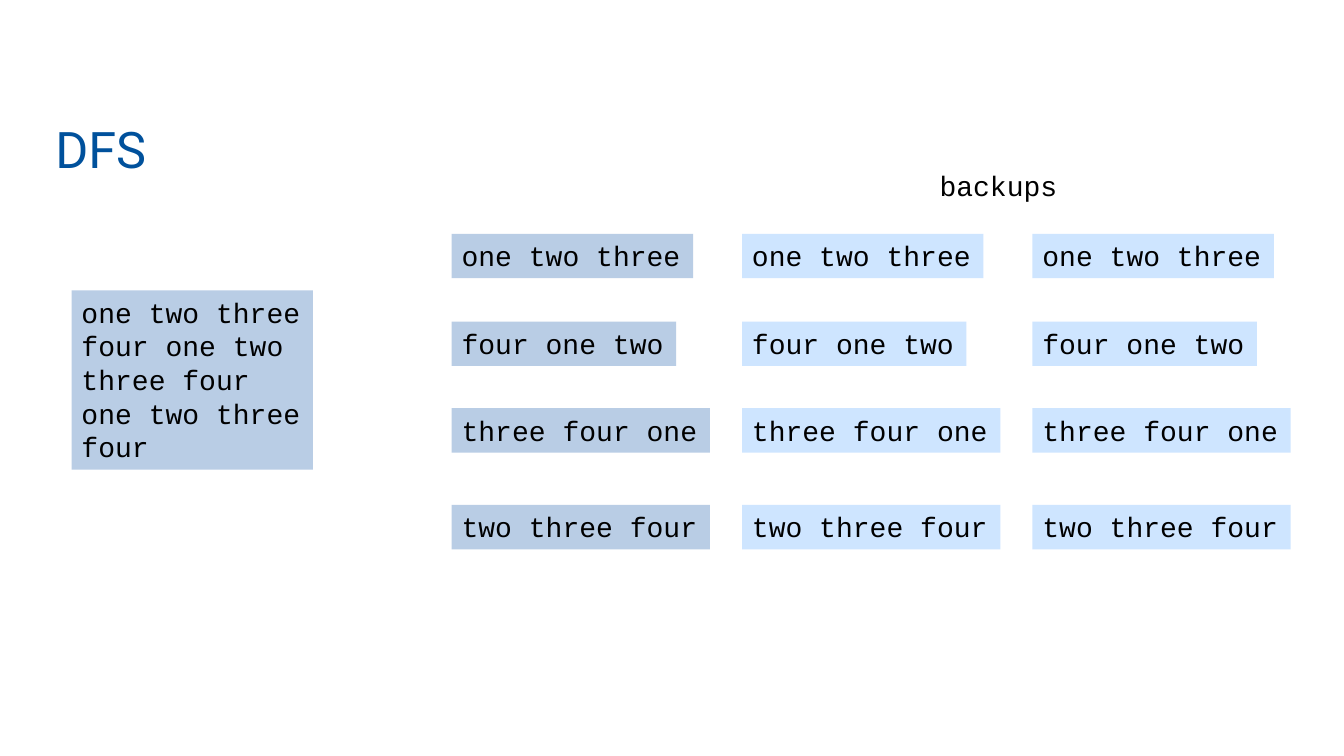
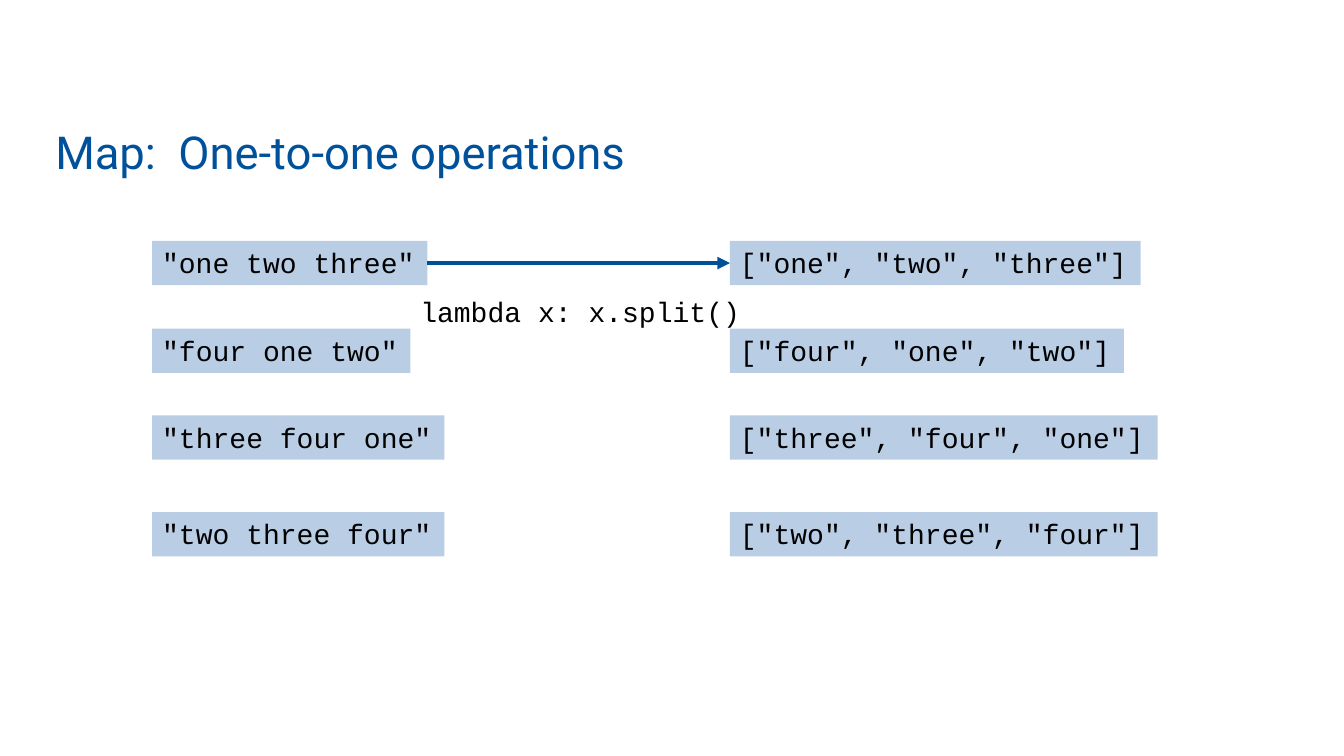
from dataclasses import dataclass

from lxml import etree
from pptx import Presentation
from pptx.dml.color import RGBColor as Rgb
from pptx.enum.shapes import MSO_CONNECTOR as Connector
from pptx.enum.shapes import MSO_SHAPE as Preset
from pptx.enum.text import MSO_ANCHOR as Anchor
from pptx.enum.text import MSO_AUTO_SIZE as AutoSize
from pptx.enum.text import PP_ALIGN as Align
from pptx.oxml.ns import qn
from pptx.util import Inches, Pt


@dataclass(frozen=True)
class Theme:
    title_color: Rgb = Rgb(0x00, 0x51, 0x9C)
    arrow_color: Rgb = Rgb(0x00, 0x4F, 0x99)
    text_color: Rgb = Rgb(0x00, 0x00, 0x00)
    block_fill: Rgb = Rgb(0xB9, 0xCD, 0xE5)
    backup_fill: Rgb = Rgb(0xCE, 0xE5, 0xFF)
    title_font: str = "Roboto"
    code_font: str = "Courier New"
    title_size: float = 36
    small_title_size: float = 32.4
    code_size: float = 20
    arrow_width: float = 3


THEME = Theme()

# Shared layout, in inches
ROW_OFFSETS = (0, 0.87, 1.73, 2.69)
BOX_HEIGHT = 0.44
CHAR_WIDTH = 0.168
BOX_PADDING = 0.21

BLOCKS = ("one two three", "four one two", "three four one", "two three four")


def add_run(para, text, font, size, color):
    span = para.add_run()
    span.text = text
    span.font.name = font
    span.font.size = Pt(size)
    span.font.color.rgb = color


def add_page(deck, title, size=THEME.title_size):
    """Add a blank page with its title."""
    page = deck.slides.add_slide(deck.slide_layouts[6])
    box = page.shapes.add_textbox(Inches(0.45), Inches(1.13), Inches(9.98), Inches(0.69))
    frame = box.text_frame
    frame.word_wrap = True
    frame.vertical_anchor = Anchor.BOTTOM
    add_run(frame.paragraphs[0], title, THEME.title_font, size, THEME.title_color)
    return page


def add_code(page, lines, left, top, fill=None, height=BOX_HEIGHT, wrap=False):
    """Add monospaced text, as wide as its first line; filled if a colour is given."""
    width = CHAR_WIDTH * len(lines[0]) + BOX_PADDING
    area = Inches(left), Inches(top), Inches(width), Inches(height)
    if fill is None:
        box = page.shapes.add_textbox(*area)
    else:
        box = page.shapes.add_shape(Preset.RECTANGLE, *area)
        box.shadow.inherit = False
        box.fill.solid()
        box.fill.fore_color.rgb = fill
        box.line.fill.background()
    frame = box.text_frame
    frame.word_wrap = wrap
    frame.auto_size = AutoSize.SHAPE_TO_FIT_TEXT
    frame.vertical_anchor = Anchor.TOP
    for index, line in enumerate(lines):
        para = frame.add_paragraph() if index else frame.paragraphs[0]
        para.alignment = Align.LEFT
        add_run(para, line, THEME.code_font, THEME.code_size, THEME.text_color)
    return box


def add_column(page, texts, left, top, fill):
    """Stack one box per text on the shared rows."""
    return [add_code(page, [text], left, top + offset, fill)
            for text, offset in zip(texts, ROW_OFFSETS)]


def add_arrow(page, source, target):
    """Join the right side of one box to the left side of another."""
    arrow = page.shapes.add_connector(Connector.STRAIGHT, 0, 0, 0, 0)
    arrow.begin_connect(source, 3)
    arrow.end_connect(target, 1)
    arrow.line.color.rgb = THEME.arrow_color
    arrow.line.width = Pt(THEME.arrow_width)
    etree.SubElement(arrow.line._get_or_add_ln(), qn("a:tailEnd"), type="triangle")
    etree.SubElement(arrow._element.spPr, qn("a:effectLst"))


def build_storage(deck):
    page = add_page(deck, "DFS")
    # Whole file
    file_lines = ["one two three", "four one two three four", "one two three", "four"]
    add_code(page, file_lines, 0.71, 2.88, THEME.block_fill, height=1.78, wrap=True)
    # Blocks and their two backups
    fills = (THEME.block_fill, THEME.backup_fill, THEME.backup_fill)
    for index, fill in enumerate(fills):
        add_column(page, BLOCKS, 4.48 + 2.88 * index, 2.32, fill)
    add_code(page, ["backups"], 9.22, 1.62)


def build_map(deck):
    page = add_page(deck, "Map:  One-to-one operations", THEME.small_title_size)
    # Strings and the word lists they become
    quoted = [f'"{block}"' for block in BLOCKS]
    word_lists = ["[" + ", ".join(f'"{word}"' for word in block.split()) + "]"
                  for block in BLOCKS]
    strings = add_column(page, quoted, 1.51, 2.39, THEME.block_fill)
    results = add_column(page, word_lists, 7.24, 2.39, THEME.block_fill)
    # Operation
    add_arrow(page, strings[0], results[0])
    add_code(page, ["lambda x: x.split()"], 4.07, 2.87)


def main():
    deck = Presentation()
    deck.slide_width = Inches(13.33)
    deck.slide_height = Inches(7.5)
    build_storage(deck)
    build_map(deck)
    deck.save("out.pptx")


if __name__ == "__main__":
    main()
